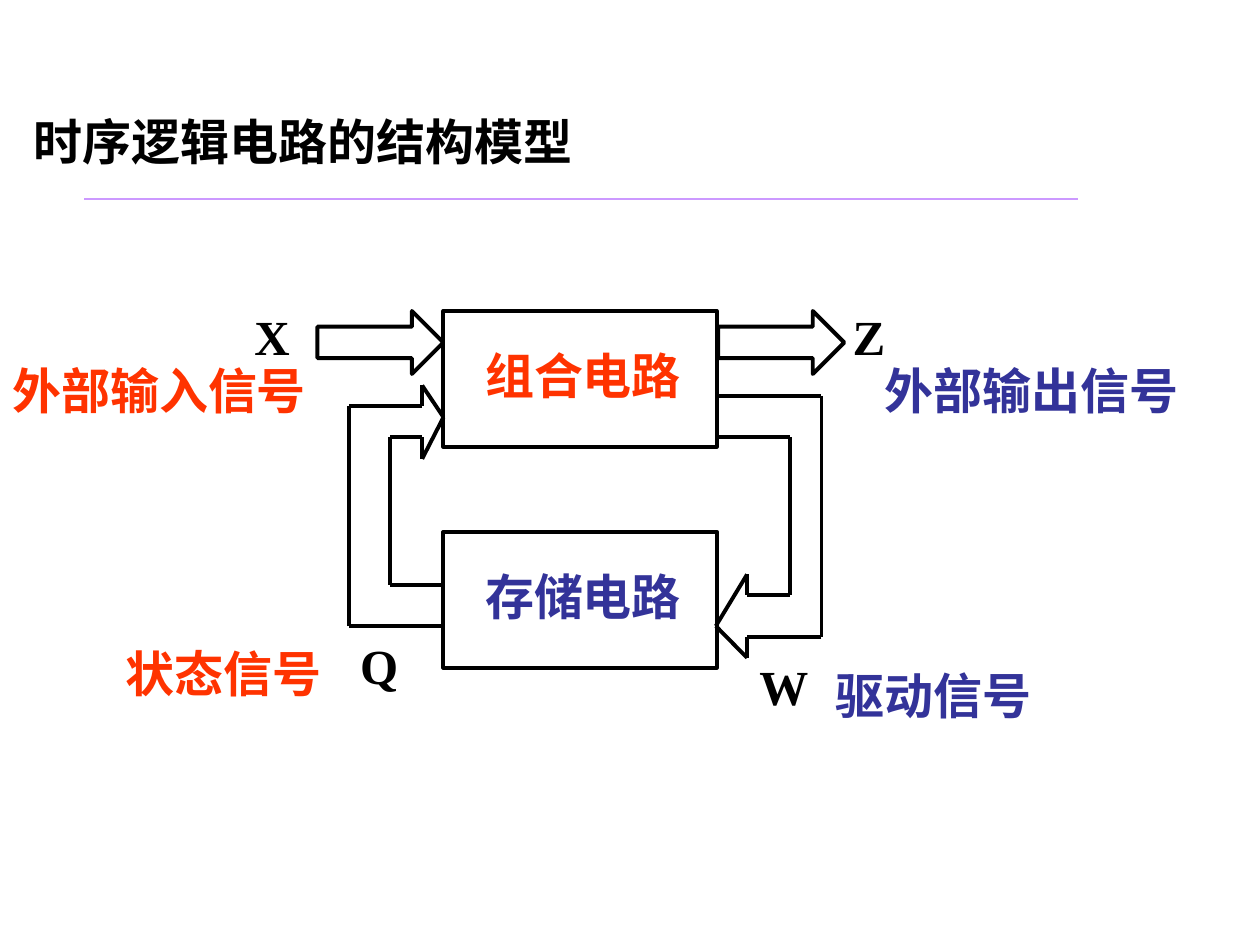
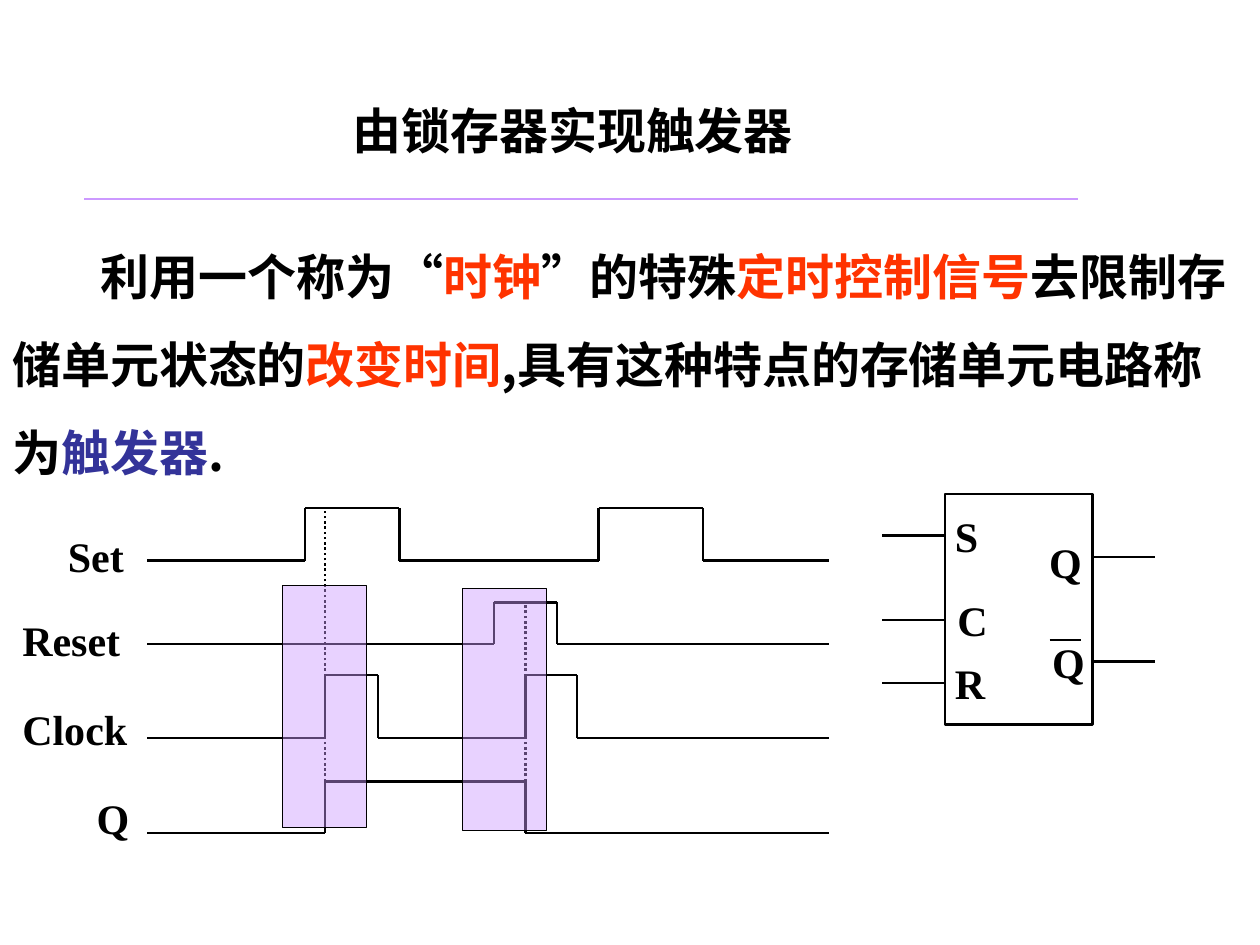
"""Builds two slides on sequential logic: the structure model and the clocked flip-flop."""
from itertools import pairwise

from pptx import Presentation
from pptx.dml.color import RGBColor
from pptx.enum.dml import MSO_LINE_DASH_STYLE as DASH
from pptx.enum.shapes import MSO_CONNECTOR, MSO_SHAPE
from pptx.enum.text import MSO_ANCHOR, MSO_AUTO_SIZE, PP_ALIGN
from pptx.oxml.xmlchemy import OxmlElement
from pptx.util import Cm, Pt

COLORS = {"ink": "000000", "input": "FF3300", "output": "333399", "violet": "CC99FF"}
LATIN, CJK = "Times New Roman", "Noto Sans CJK SC"
TITLE_ONLY = 5


def rgb(name):
    return RGBColor.from_string(COLORS[name])


class Deck:
    """Holds the shared style and the slide being drawn."""

    def __init__(self):
        self.prs = Presentation()
        self.prs.slide_width, self.prs.slide_height = Cm(25.4), Cm(19.05)
        self.slide = None
        self.weight = 1.5

    def new_slide(self, title, left, top, width, align, weight):
        self.slide = self.prs.slides.add_slide(self.prs.slide_layouts[TITLE_ONLY])
        self.weight = weight
        heading = self.slide.shapes.title
        heading.left, heading.top = Cm(left), Cm(top)
        heading.width, heading.height = Cm(width), Cm(1.45)
        self.set_text(heading, title, align=align)
        self.trace([(1.7, 4.02), (21.74, 4.02)], color="violet", weight=1)

    def set_text(self, holder, text, size=28, color="ink", align=PP_ALIGN.LEFT,
                 font=LATIN, wrap=False):
        frame = holder.text_frame
        frame.word_wrap = wrap
        frame.auto_size = MSO_AUTO_SIZE.NONE
        frame.vertical_anchor = MSO_ANCHOR.MIDDLE
        frame.margin_left = frame.margin_right = Cm(0.25)
        frame.margin_top = frame.margin_bottom = Cm(0.13)
        paragraph = frame.paragraphs[0]
        paragraph.alignment = align
        paragraph.font.size, paragraph.font.bold = Pt(size), True
        paragraph.font.color.rgb = rgb(color)
        paragraph.font.name = font
        east_asian = OxmlElement("a:ea")
        east_asian.set("typeface", CJK)
        paragraph.font._element.append(east_asian)
        if text:
            paragraph.add_run().text = text
        return paragraph

    def label(self, text, left, top, width, size=28, color="ink"):
        height = 1.45 if size == 28 else 1.27
        box = self.slide.shapes.add_textbox(Cm(left), Cm(top), Cm(width), Cm(height))
        self.set_text(box, text, size, color)

    def passage(self, parts, left, top, width, height, indent, pitch):
        box = self.slide.shapes.add_textbox(Cm(left), Cm(top), Cm(width), Cm(height))
        paragraph = self.set_text(box, "", font=CJK, wrap=True)
        box.text_frame.vertical_anchor = MSO_ANCHOR.TOP
        paragraph.line_spacing = Pt(pitch)
        paragraph._p.get_or_add_pPr().set("indent", str(Cm(indent)))
        for text, color in parts:
            run = paragraph.add_run()
            run.text = text
            run.font.color.rgb = rgb(color)
            if text in "“”":
                run.font.name = LATIN

    def block(self, left, top, width, height, kind=MSO_SHAPE.RECTANGLE):
        shape = self.slide.shapes.add_shape(kind, Cm(left), Cm(top), Cm(width), Cm(height))
        shape.shadow.inherit = False
        shape.fill.background()
        shape.line.color.rgb, shape.line.width = rgb("ink"), Pt(self.weight)
        return shape

    def window(self, left, top, width, height, opacity):
        shape = self.block(left, top, width, height)
        shape.line.width = Pt(0.75)
        shape.fill.solid()
        shape.fill.fore_color.rgb = rgb("violet")
        alpha = OxmlElement("a:alpha")
        alpha.set("val", str(opacity * 1000))
        shape._element.spPr.find(".//{*}srgbClr").append(alpha)

    def trace(self, points, color="ink", weight=None, dash=None):
        for (x1, y1), (x2, y2) in pairwise(points):
            line = self.slide.shapes.add_connector(
                MSO_CONNECTOR.STRAIGHT, Cm(x1), Cm(y1), Cm(x2), Cm(y2))
            line.line.color.rgb = rgb(color)
            line.line.width = Pt(weight or self.weight)
            if dash:
                line.line.dash_style = dash
            line._element.spPr.append(OxmlElement("a:effectLst"))

    def waveform(self, low, high, edges, start=2.97, end=16.71):
        points, level, other = [(start, low)], low, high
        for edge in edges:
            points += [(edge, level), (edge, other)]
            level, other = other, level
        self.trace(points + [(end, level)])


def structure_model(deck):
    deck.new_slide("时序逻辑电路的结构模型", 0.43, 2.11, 11.38, PP_ALIGN.LEFT, 2.25)
    for circuit, top, color in (("组合电路", 6.27, "input"), ("存储电路", 10.72, "output")):
        deck.block(8.94, top, 5.51, 2.74)
        deck.label(circuit, 9.53, top + 0.56, 4.47, color=color)
    for left in (6.4, 14.48):
        deck.block(left, 6.27, 2.54, 1.27, MSO_SHAPE.RIGHT_ARROW)

    drive_path = [(14.43, 7.98), (16.56, 7.98), (16.56, 12.85), (15.06, 12.85),
                  (15.06, 13.26), (14.43, 12.62), (15.06, 11.58), (15.06, 11.99),
                  (15.93, 11.99), (15.93, 8.81), (14.43, 8.81)]
    state_path = [(8.94, 12.62), (7.04, 12.62), (7.04, 8.18), (8.51, 8.18),
                  (8.51, 7.77), (8.94, 8.41), (8.51, 9.25), (8.51, 8.81),
                  (7.87, 8.81), (7.87, 11.79), (8.94, 11.79)]
    deck.trace(drive_path)
    deck.trace(state_path)

    for signal, left, top, width, color in (
            ("X", 4.88, 6.05, 1.22, "ink"),
            ("Z", 16.94, 6.05, 1.17, "ink"),
            ("Q", 7.01, 12.67, 1.27, "ink"),
            ("W", 15.06, 13.11, 1.5, "ink"),
            ("外部输入信号", 0, 7.14, 6.43, "input"),
            ("外部输出信号", 17.58, 7.14, 6.68, "output"),
            ("驱动信号", 16.59, 13.28, 4.95, "output"),
            ("状态信号", 2.29, 12.85, 4.47, "input")):
        deck.label(signal, left, top, width, color=color)


def clocked_flip_flop(deck):
    deck.new_slide("由锁存器实现触发器", 6.78, 1.9, 9.53, PP_ALIGN.CENTER, 1.5)
    definition = [
        ("利用一个称为", "ink"), ("“", "ink"), ("时钟", "input"), ("”", "ink"),
        ("的特殊", "ink"), ("定时控制信号", "input"), ("去限制存储单元状态的", "ink"),
        ("改变时间", "input"), (",具有这种特点的存储单元电路称为", "ink"),
        ("触发器", "output"), (".", "ink")]
    deck.passage(definition, 0, 4.24, 25.3, 5.36, indent=1.78, pitch=50.4)

    for signal, left, top, width, low, high, edges in (
            ("Set", 1.12, 10.57, 1.65, 11.3, 10.24, (6.15, 8.05, 12.07, 14.17)),
            ("Reset", 0.2, 12.27, 2.49, 12.98, 12.14, (9.96, 11.23)),
            ("Clock", 0.2, 14.05, 2.62, 14.88, 13.61, (6.55, 7.62, 10.59, 11.63)),
            ("Q", 1.7, 15.85, 1.17, 16.79, 15.75, (6.55, 10.59))):
        deck.label(signal, left, top, width, size=24)
        deck.waveform(low, high, edges)
    for clock_edge, top in ((6.55, 10.24), (10.59, 12.14)):
        deck.trace([(clock_edge, 15.75), (clock_edge, top)], dash=DASH.ROUND_DOT)

    deck.block(19.05, 9.96, 2.97, 4.65)
    for pin, left, top, width, lead_start, lead_y in (
            ("S", 19, 10.16, 0.99, 17.78, 10.8),
            ("C", 19.05, 11.86, 1.12, 17.78, 12.5),
            ("R", 19, 13.13, 1.12, 17.78, 13.77),
            ("Q", 20.9, 10.69, 1.17, 22.02, 11.23),
            ("Q", 20.96, 12.7, 1.17, 22.02, 13.34)):
        deck.label(pin, left, top, width, size=24)
        deck.trace([(lead_start, lead_y), (lead_start + 1.27, lead_y)])
    deck.trace([(21.16, 12.9), (21.79, 12.9)])

    for left, top in ((9.32, 11.86), (5.69, 11.81)):
        deck.window(left, top, 1.7, 4.88, opacity=44)


def main():
    deck = Deck()
    structure_model(deck)
    clocked_flip_flop(deck)
    deck.prs.save("out.pptx")


if __name__ == "__main__":
    main()
